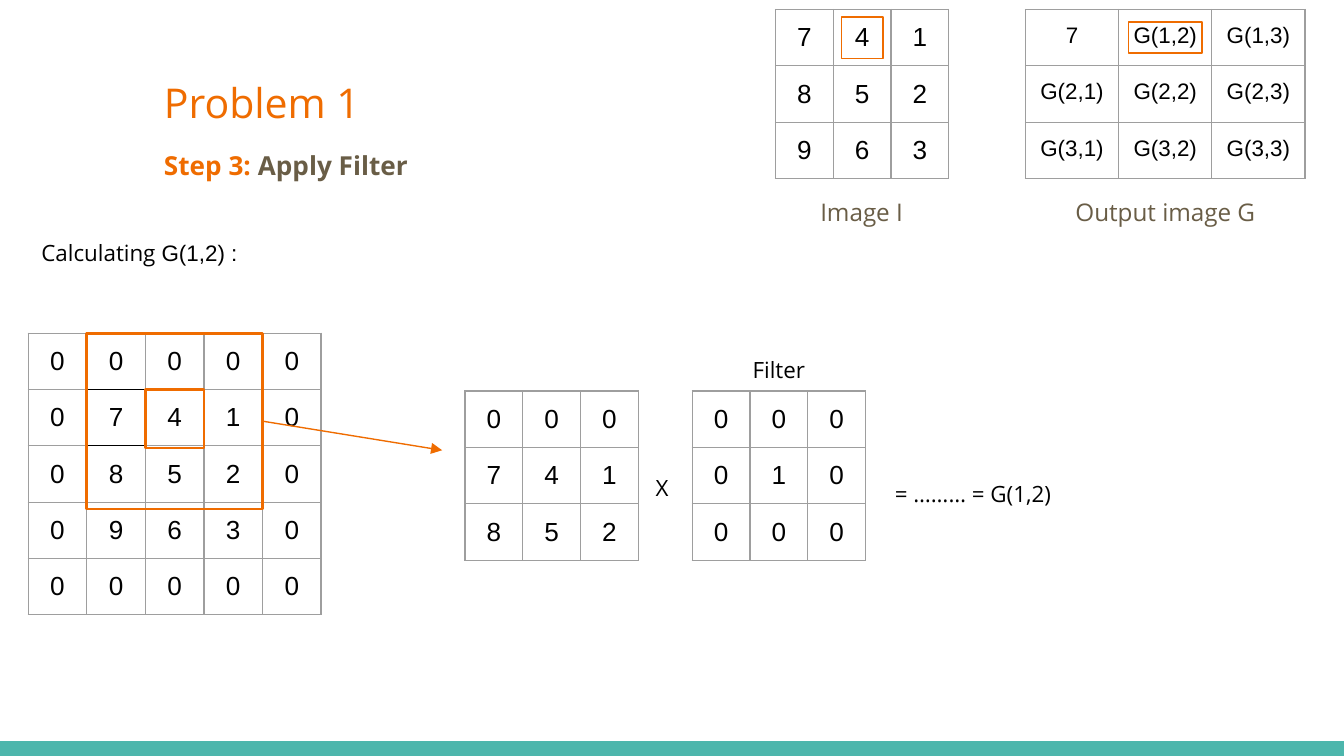
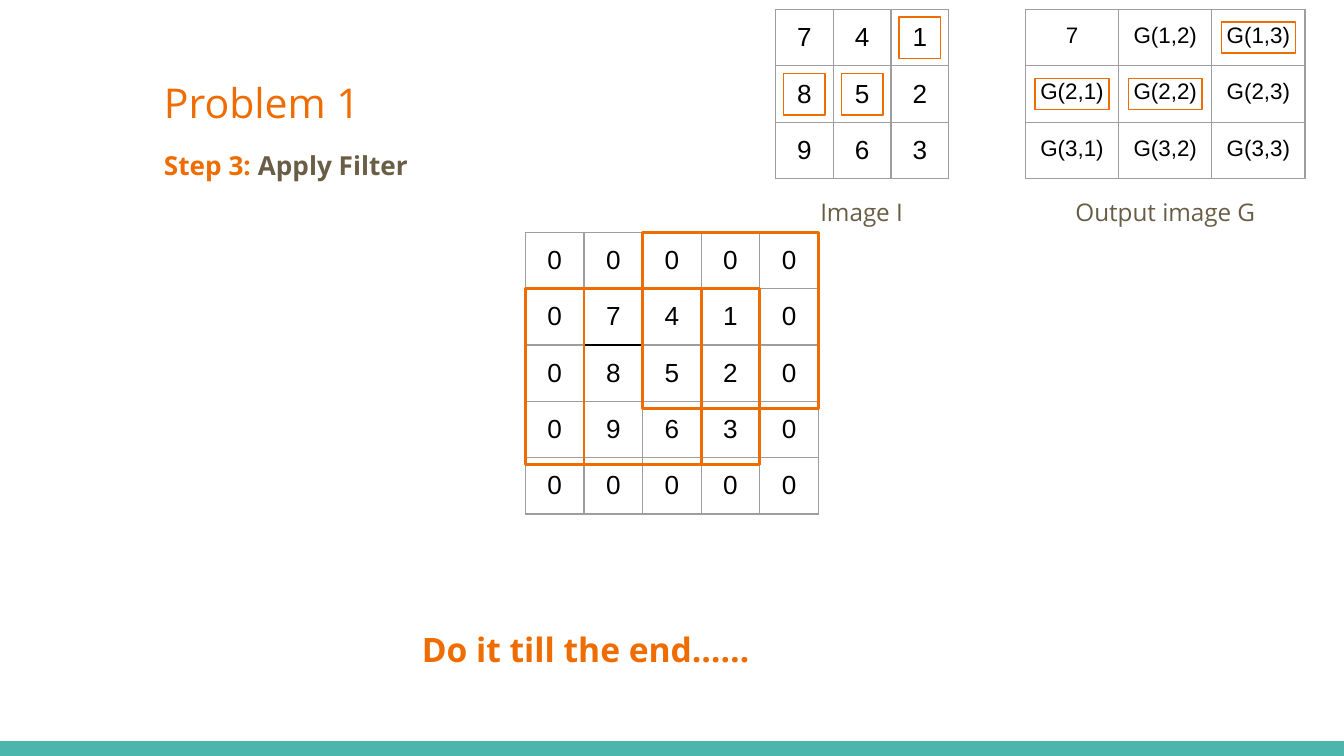
from dataclasses import dataclass

from lxml import etree
from pptx import Presentation
from pptx.dml.color import RGBColor
from pptx.enum.shapes import MSO_CONNECTOR, MSO_SHAPE
from pptx.enum.text import MSO_ANCHOR, MSO_AUTO_SIZE, PP_ALIGN
from pptx.oxml.ns import qn
from pptx.util import Emu, Inches, Pt

RECTANGLE = MSO_SHAPE.RECTANGLE
STRAIGHT = MSO_CONNECTOR.STRAIGHT
TOP = MSO_ANCHOR.TOP
NO_FIT = MSO_AUTO_SIZE.NONE
LEFT, CENTER, JUSTIFY = PP_ALIGN.LEFT, PP_ALIGN.CENTER, PP_ALIGN.JUSTIFY
RIGHT_SIDE = 3

# Every length counts squares of a grid that is 100 columns wide.
COLUMNS, ROWS = 100, 56.25
SQUARE = Inches(10) / COLUMNS

COLORS = {
    "band": "4DB6AC",
    "accent": "EF6C00",
    "muted": "695D46",
    "ink": "000000",
    "grid": "9E9E9E",
}

# Font, size, colour, bold
STYLES = {
    "title": ("Open Sans", 22, "accent", False),
    "step": ("Open Sans", 14, "accent", True),
    "step name": ("Open Sans", 14, "muted", True),
    "caption": ("Open Sans", 13, "muted", False),
    "note": ("Open Sans", 12, "ink", False),
    "formula": ("Arial", 12, "ink", False),
    "number": ("Arial", 14, "ink", False),
    "closing": ("Open Sans", 18, "accent", True),
}

IMAGE = [[7, 4, 1], [8, 5, 2], [9, 6, 3]]
PADDED = [[0] * 5, *([0, *row, 0] for row in IMAGE), [0] * 5]
PATCH = [row[1:4] for row in PADDED[:3]]
FILTER = [[0, 0, 0], [0, 1, 0], [0, 0, 0]]
OUTPUT = [[f"G({row},{column})" for column in (1, 2, 3)] for row in (1, 2, 3)]
OUTPUT[0][0] = 7


@dataclass(frozen=True)
class Box:
    left: float
    top: float
    width: float
    height: float

    def inner(self, left, top, width, height):
        return Box(self.left + left, self.top + top, width, height)

    def cell(self, values, row, column):
        """Box of one cell of a table that fills this box."""
        width, height = self.width / len(values[0]), self.height / len(values)
        return self.inner(column * width, row * height, width, height)

    def centered(self, width, height):
        return self.inner((self.width - width) / 2, (self.height - height) / 2,
                          width, height)

    def emu(self):
        return [squares(length) for length in
                (self.left, self.top, self.width, self.height)]


def squares(count):
    return Emu(round(count * SQUARE))


def color(name):
    return RGBColor.from_string(COLORS[name])


def add_runs(para, runs, align):
    para.alignment = align
    para.space_before = Pt(0)
    for text, style in runs:
        font, size, tint, bold = STYLES[style]
        span = para.add_run()
        span.text = text
        span.font.name, span.font.size, span.font.bold = font, Pt(size), bold
        span.font.color.rgb = color(tint)


def fill_frame(shape, box, runs, align=LEFT):
    shape.left, shape.top, shape.width, shape.height = box.emu()
    frame = shape.text_frame
    frame.word_wrap = True
    frame.auto_size = NO_FIT
    frame.vertical_anchor = TOP
    frame.margin_left = frame.margin_right = squares(1)
    frame.margin_top = frame.margin_bottom = squares(1)
    add_runs(frame.paragraphs[0], runs, align)


def add_label(page, box, runs, align=LEFT):
    fill_frame(page.shapes.add_textbox(*box.emu()), box, runs, align)


def add_outline(page, box, weight):
    shape = page.shapes.add_shape(RECTANGLE, *box.emu())
    shape.shadow.inherit = False
    shape.fill.background()
    shape.line.color.rgb = color("accent")
    shape.line.width = Pt(weight)
    return shape


def set_borders(cell, dark_sides):
    properties = cell._tc.get_or_add_tcPr()
    for side in "LRTB":
        line = etree.SubElement(properties, qn(f"a:ln{side}"), w=str(Pt(0.75)))
        fill = etree.SubElement(line, qn("a:solidFill"))
        tint = "ink" if side in dark_sides else "grid"
        etree.SubElement(fill, qn("a:srgbClr"), val=COLORS[tint])


def add_matrix(page, box, values, style="number", dark_cell=None):
    """Table of equal cells; dark_cell (row, column) gets black borders."""
    table = page.shapes.add_table(len(values), len(values[0]), *box.emu()).table
    table.first_row = table.horz_banding = False
    for column in table.columns:
        column.width = squares(box.width / len(values[0]))
    dark = {}
    if dark_cell:
        row, column = dark_cell
        dark = {(row, column): "LRTB", (row - 1, column): "B", (row + 1, column): "T",
                (row, column - 1): "R", (row, column + 1): "L"}
    for i, row_values in enumerate(values):
        table.rows[i].height = squares(box.height / len(values))
        for j, value in enumerate(row_values):
            cell = table.cell(i, j)
            cell.margin_left = cell.margin_right = squares(1)
            cell.margin_top = cell.margin_bottom = squares(1)
            cell.vertical_anchor = TOP
            set_borders(cell, dark.get((i, j), ""))
            cell.fill.background()
            add_runs(cell.text_frame.paragraphs[0], [(str(value), style)], CENTER)


def add_padded_image(page, box):
    add_matrix(page, box, PADDED, dark_cell=(1, 1))


def add_window(page, box, row, column, span=3):
    """Square outline over span cells of the padded image in box."""
    start = box.cell(PADDED, row, column)
    side = span * start.width
    return add_outline(page, start.inner(0, 0, side, side), 1.5)


def add_arrow(page, source, end):
    arrow = page.shapes.add_connector(STRAIGHT, 0, 0, *map(squares, end))
    arrow.begin_connect(source, RIGHT_SIDE)
    arrow.line.color.rgb = color("accent")
    arrow.line.width = Pt(0.75)
    etree.SubElement(arrow.line._get_or_add_ln(), qn("a:tailEnd"), type="triangle")
    etree.SubElement(arrow._element.spPr, qn("a:effectLst"))


def add_heading(page, box):
    fill_frame(page.shapes.title, box.inner(0, 0, 48.5, 5.7), [("Problem 1", "title")])
    body = page.placeholders[1]
    properties = body.text_frame.paragraphs[0]._p.get_or_add_pPr()
    properties.set("marL", "0")
    properties.set("indent", "0")
    etree.SubElement(properties, qn("a:buNone"))
    fill_frame(body, box.inner(0, 5.3, 80.4, 4.4),
               [("Step 3:", "step"), (" Apply Filter", "step name")], JUSTIFY)


def add_images(page, box, marked):
    """Input and output images, with the marked cells outlined in both."""
    pairs = [
        (box.inner(3, 0, 12.9, 12.6), IMAGE, "number", (3.1, 3.1), 0, "Image I"),
        (box.inner(21.6, 0, 20.8, 12.6), OUTPUT, "formula", (5.5, 2.3), 22.6,
         "Output image G"),
    ]
    for area, values, style, mark, caption_left, caption in pairs:
        add_matrix(page, area, values, style)
        add_label(page, box.inner(caption_left, 13, 18.8, 4.4),
                  [(caption, "caption")], CENTER)
        for row, column in marked:
            add_outline(page, area.cell(values, row, column).centered(*mark), 0.75)


def add_product(page, box):
    """Patch times filter, and the result."""
    add_matrix(page, box.inner(0, 3.6, 12.9, 12.6), PATCH)
    add_label(page, box.inner(13.2, 8.8, 3.4, 3.1), [("X", "note")])
    add_label(page, box.inner(16.9, 0, 12.9, 3.1), [("Filter", "note")], CENTER)
    add_matrix(page, box.inner(16.9, 3.6, 12.9, 12.6), FILTER)
    add_label(page, box.inner(31, 9.2, 30.9, 3.1), [("= ……… = G(1,2)", "note")])


def add_page(deck, marked):
    page = deck.slides.add_slide(deck.slide_layouts[1])
    add_heading(page, Box(11.2, 4.8, 80.4, 9.7))
    add_images(page, Box(54.7, 0.7, 42.4, 17.4), marked)
    return page


def add_calculation_page(deck):
    page = add_page(deck, [(0, 1)])
    add_label(page, Box(2.1, 16.8, 42, 4.9),
              [("Calculating ", "note"), ("G(1,2) :", "formula")])
    padded = Box(2.1, 24.8, 21.8, 20.9)
    add_padded_image(page, padded)
    add_window(page, padded, 1, 2, span=1)
    window = add_window(page, padded, 0, 1)
    add_arrow(page, window, (32.9, 33.5))
    add_product(page, Box(34.6, 25.5, 61.9, 16.2))
    return page


def add_repeat_page(deck):
    windows = [(0, 2), (1, 0), (1, 1)]
    page = add_page(deck, windows)
    padded = Box(39.1, 17.3, 21.8, 20.9)
    add_padded_image(page, padded)
    for row, column in windows:
        add_window(page, padded, row, column)
    add_label(page, Box(30.4, 45.8, 42, 4.9), [("Do it till the end……", "closing")])


def move_band_to_master(deck, page):
    """Draw the bottom band and hand it to the master, shared by all slides."""
    box = Box(0, ROWS - 1.1, COLUMNS, 1.1)
    band = page.shapes.add_shape(RECTANGLE, *box.emu())
    band.shadow.inherit = False
    band.fill.solid()
    band.fill.fore_color.rgb = color("band")
    band.line.fill.background()
    deck.slide_master.shapes._spTree.append(band._element)


def main():
    deck = Presentation()
    deck.slide_width, deck.slide_height = squares(COLUMNS), squares(ROWS)
    page = add_calculation_page(deck)
    add_repeat_page(deck)
    move_band_to_master(deck, page)
    deck.save("out.pptx")


if __name__ == "__main__":
    main()
